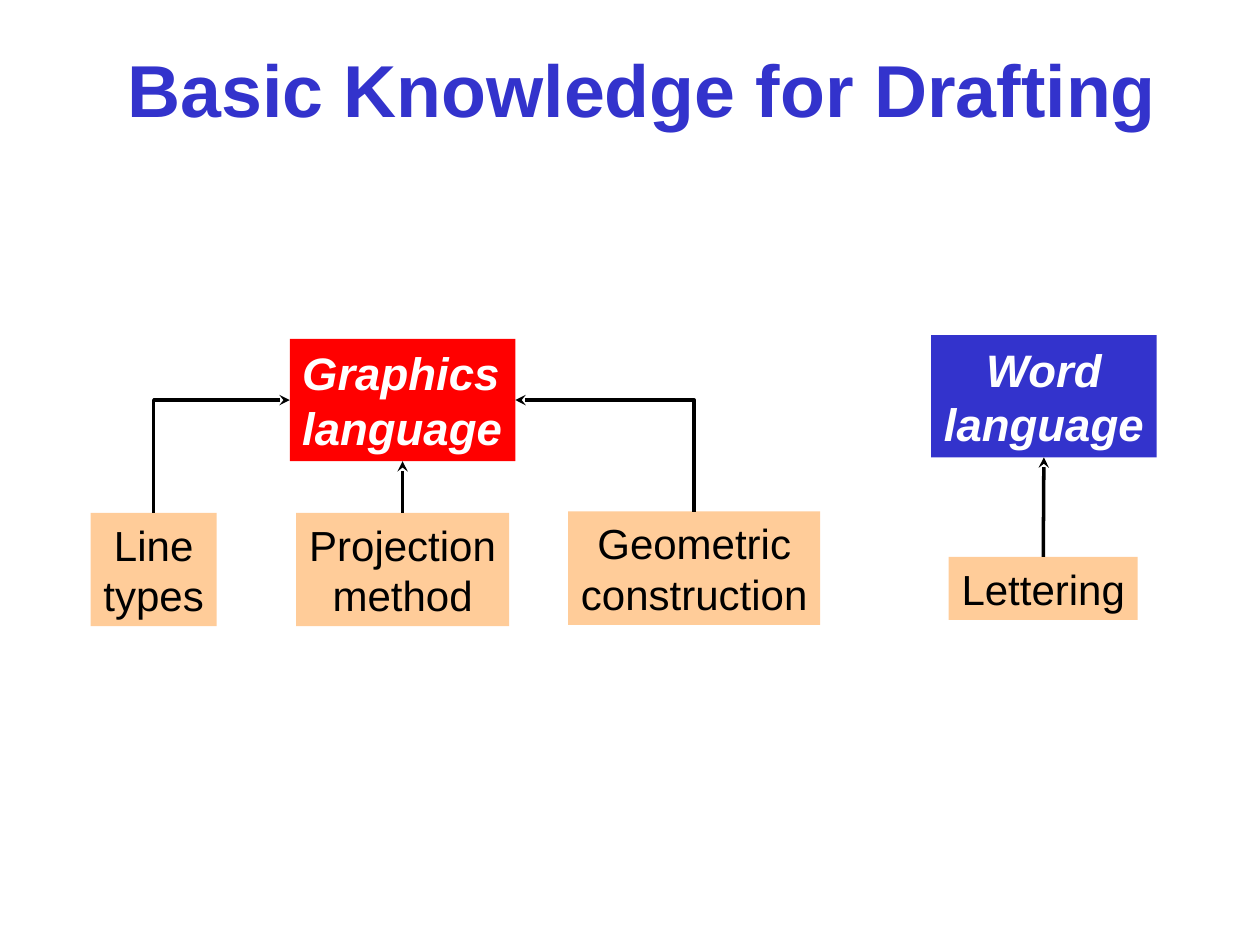
from lxml.etree import SubElement
from pptx import Presentation
from pptx.dml.color import RGBColor
from pptx.enum.shapes import MSO_CONNECTOR as Link, MSO_SHAPE as Preset
from pptx.enum.text import MSO_ANCHOR as Anchor, MSO_AUTO_SIZE as Fit, PP_ALIGN as Align
from pptx.oxml.ns import qn
from pptx.util import Inches, Pt

COLORS = {"blue": "3333CC", "red": "FF0000", "peach": "FFCC99",
          "white": "FFFFFF", "black": "000000"}
WIDTH, HEIGHT = Inches(10), Inches(7.5)
COLUMNS, ROWS = 100, 75
TOP, LEFT, BOTTOM, RIGHT = 0, 1, 2, 3


def color(name):
    return RGBColor.from_string(COLORS[name])


def place(left, top, columns, rows):
    return [int(WIDTH * left / COLUMNS), int(HEIGHT * top / ROWS),
            int(WIDTH * columns / COLUMNS), int(HEIGHT * rows / ROWS)]


def write(frame, lines, size, ink, bold=False, italic=False, align=Align.CENTER):
    frame.word_wrap = False
    frame.vertical_anchor = Anchor.MIDDLE
    for number, line in enumerate(lines):
        paragraph = frame.add_paragraph() if number else frame.paragraphs[0]
        paragraph.alignment = align
        run = paragraph.add_run()
        run.text = line
        font = run.font
        font.name, font.size = "Arial", Pt(size)
        font.bold, font.italic = bold, italic
        font.color.rgb = color(ink)


def add_title(slide, text):
    title = slide.shapes.title
    title.left, title.top, title.width, title.height = place(9.1, 3, 83.7, 8)
    write(title.text_frame, [text], 42, "blue", bold=True)


def add_box(slide, cell, lines, fill, size=24, ink="black", **style):
    box = slide.shapes.add_shape(Preset.RECTANGLE, *place(*cell))
    box.shadow.inherit = False
    box.fill.solid()
    box.fill.fore_color.rgb = color(fill)
    box.line.fill.background()
    write(box.text_frame, lines, size, ink, **style)
    box.text_frame.auto_size = Fit.SHAPE_TO_FIT_TEXT
    return box


def add_language(slide, cell, lines, fill, align=Align.CENTER):
    return add_box(slide, cell, lines, fill, 26, "white",
                   bold=True, italic=True, align=align)


def add_arrow(slide, topic, language, side=BOTTOM):
    kind = Link.STRAIGHT if side == BOTTOM else Link.ELBOW
    arrow = slide.shapes.add_connector(kind, 0, 0, 0, 0)
    arrow.begin_connect(topic, TOP)
    arrow.end_connect(language, side)
    arrow.line.width = Pt(2)
    arrow.line.color.rgb = color("black")
    properties = arrow.element.spPr
    SubElement(properties.find(qn("a:ln")), qn("a:tailEnd"), type="stealth")
    SubElement(properties, qn("a:effectLst"))
    if side != BOTTOM:
        bend_once(arrow, side)


def bend_once(arrow, side):
    across = abs(arrow.end_x - arrow.begin_x)
    rise = abs(arrow.end_y - arrow.begin_y)
    center_x = (arrow.begin_x + arrow.end_x) // 2
    center_y = (arrow.begin_y + arrow.end_y) // 2
    arrow.left, arrow.top = center_x - rise // 2, center_y - across // 2
    arrow.width, arrow.height = rise, across
    properties = arrow.element.spPr
    properties.find(qn("a:prstGeom")).set("prst", "bentConnector2")
    turn = properties.find(qn("a:xfrm"))
    turn.set("rot", str((270 if side == LEFT else 90) * 60000))
    turn.set("flipH", "0" if side == LEFT else "1")
    turn.set("flipV", "0")


def main():
    deck = Presentation()
    deck.slide_width, deck.slide_height = WIDTH, HEIGHT
    slide = deck.slides.add_slide(deck.slide_layouts[5])
    add_title(slide, "Basic Knowledge for Drafting")

    graphics = add_language(slide, (23, 26.9, 17.9, 9.7),
                            ["Graphics", "language"], "red", Align.LEFT)
    word = add_language(slide, (73.9, 26.6, 17.9, 9.7), ["Word", "language"], "blue")

    topics = [
        ((7.2, 40.7, 10, 9), ["Line", "types"], graphics, LEFT),
        ((45.1, 40.6, 20, 9), ["Geometric", "construction"], graphics, RIGHT),
        ((75.3, 44.2, 15, 5), ["Lettering"], word, BOTTOM),
        ((23.5, 40.7, 16.9, 9), ["Projection", "method"], graphics, BOTTOM),
    ]
    for cell, lines, language, side in topics:
        topic = add_box(slide, cell, lines, "peach")
        add_arrow(slide, topic, language, side)

    deck.save("out.pptx")


if __name__ == "__main__":
    main()
